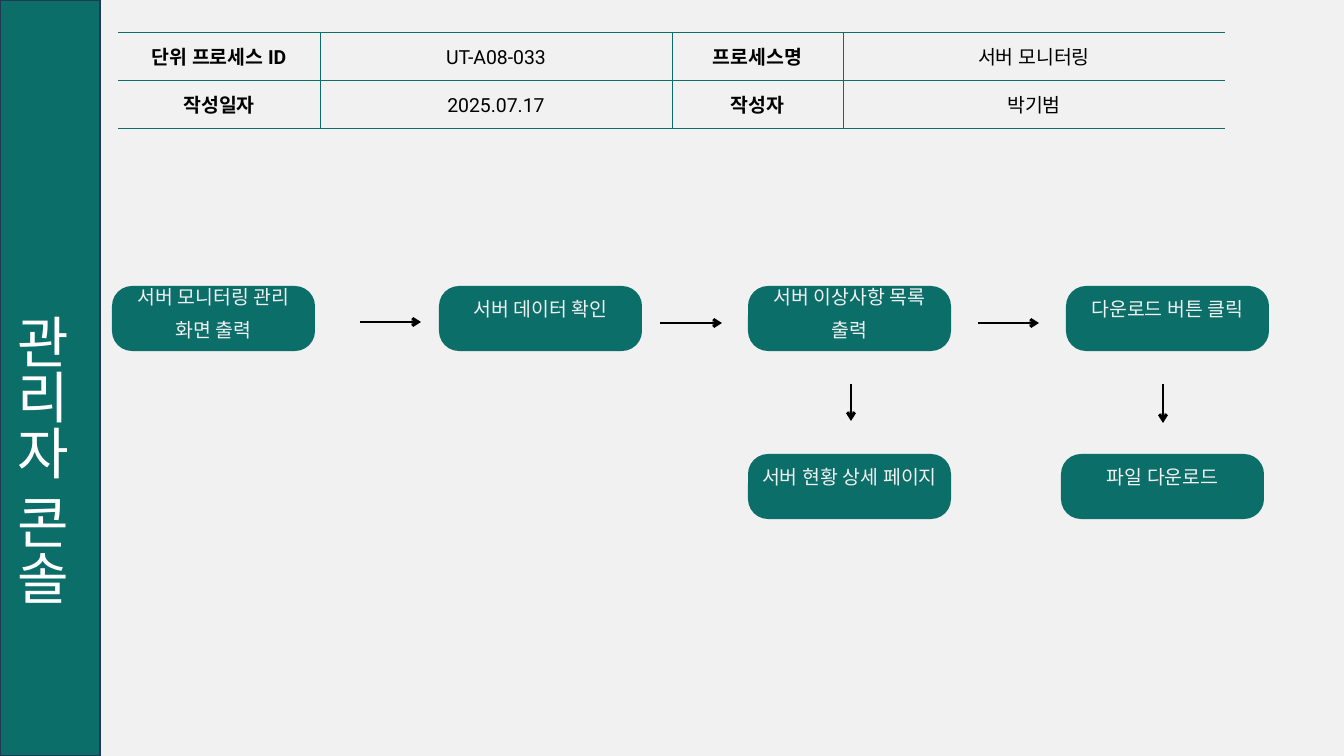
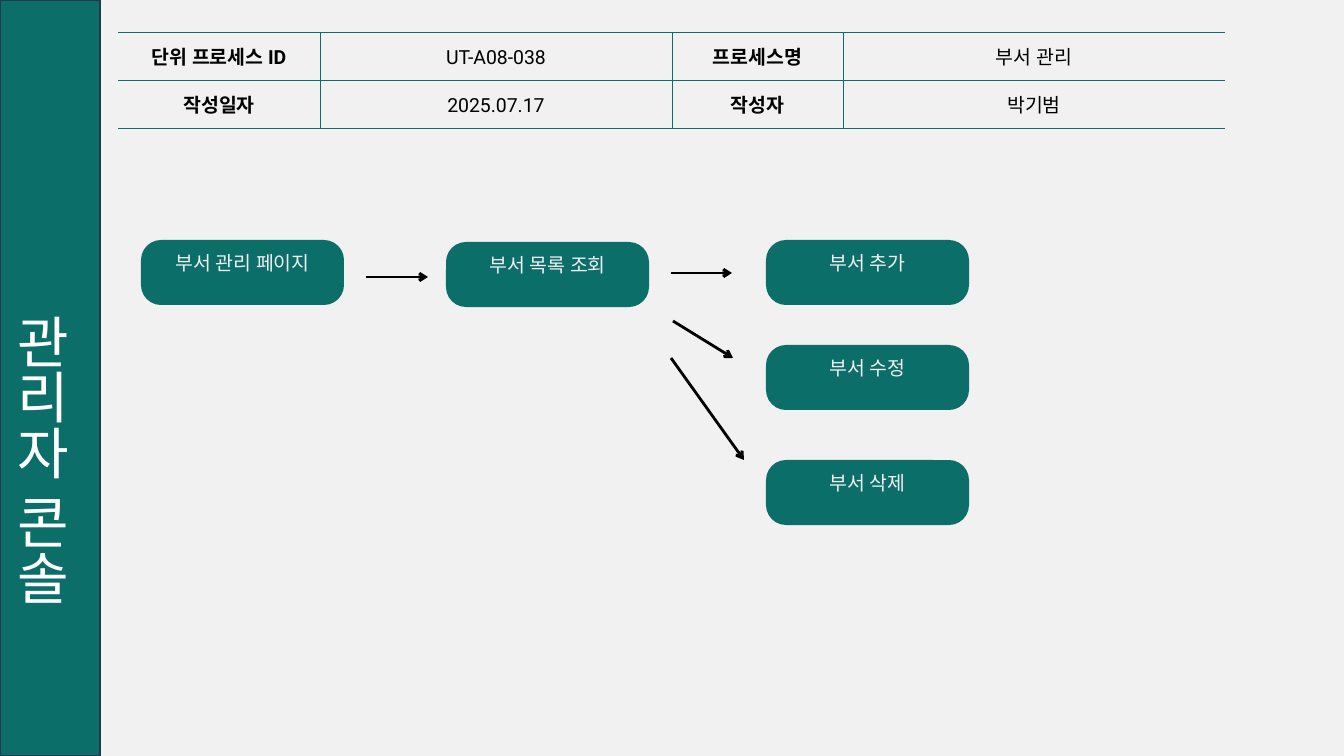
from dataclasses import dataclass

from lxml import etree
from pptx import Presentation
from pptx.dml.color import RGBColor
from pptx.enum.shapes import MSO_CONNECTOR, MSO_SHAPE
from pptx.enum.text import MSO_ANCHOR, MSO_AUTO_SIZE, PP_ALIGN
from pptx.oxml.ns import qn
from pptx.util import Emu, Pt

MIDDLE, BOTTOM = MSO_ANCHOR.MIDDLE, MSO_ANCHOR.BOTTOM
CENTER, JUSTIFY = PP_ALIGN.CENTER, PP_ALIGN.JUSTIFY
ROUNDED, STRAIGHT = MSO_SHAPE.ROUNDED_RECTANGLE, MSO_CONNECTOR.STRAIGHT
TITLE_ONLY = 5


@dataclass(frozen=True)
class Theme:
    teal: str = "0B6E69"
    navy: str = "233953"
    paper: str = "F1F1F1"
    black: str = "000000"
    white: str = "FFFFFF"
    body_font: str = "Roboto"
    title_font: str = "Calibri"
    body_size: float = 20.8
    title_size: float = 60
    table_leading: float = 29.2
    step_leading: float = 35.2
    rule: float = 0.75
    band_line: float = 2
    arrow: float = 3


THEME = Theme()

# Lengths in px
SLIDE_W, SLIDE_H = 1344, 756
BAND_W, TITLE_INDENT = 100, 73
TABLE_LEFT, TABLE_TOP = 118, 32
TABLE_COLUMNS, ROW_H = (202, 352, 171, 382), 48
STEP_W, STEP_H, STEP_RADIUS = 203, 65, 20
STEP_PAD, STEP_LIFT = 4, 29

TITLE = "관리자 콘솔"
WRITTEN_ON, AUTHOR = "2025.07.17", "박기범"

# Steps: left, top, lines, anchor. Arrows: from x, from y, to x, to y.
PROCESSES = [
    {
        "id": "UT-A08-033",
        "name": "서버 모니터링",
        "steps": [
            (112, 286, ["서버 모니터링 관리", "화면 출력"], BOTTOM),
            (439, 286, ["서버 데이터 확인"], MIDDLE),
            (748, 286, ["서버 이상사항 목록 출력"], BOTTOM),
            (748, 454, ["서버 현황 상세 페이지"], MIDDLE),
            (1066, 286, ["다운로드 버튼 클릭"], MIDDLE),
            (1061, 454, ["파일 다운로드"], MIDDLE),
        ],
        "arrows": [
            (360, 322, 421, 322),
            (660, 323, 722, 323),
            (851, 384, 851, 421),
            (978, 323, 1039, 323),
            (1163, 384, 1163, 423),
        ],
    },
    {
        "id": "UT-A08-038",
        "name": "부서 관리",
        "steps": [
            (141, 240, ["부서 관리 페이지"], MIDDLE),
            (446, 242, ["부서 목록 조회"], MIDDLE),
            (766, 240, ["부서 추가"], MIDDLE),
            (766, 345, ["부서 수정"], MIDDLE),
            (766, 460, ["부서 삭제"], MIDDLE),
        ],
        "arrows": [
            (366, 277, 428, 277),
            (671, 273, 732, 273),
            (673, 321, 733, 358),
            (671, 358, 744, 460),
        ],
    },
]


def px(length):
    return Emu(round(length * 914400 / 67.2))


def rgb(color):
    return RGBColor.from_string(color)


def fill_with(fill, color):
    fill.solid()
    fill.fore_color.rgb = rgb(color)


def set_insets(target, left, top, right, bottom):
    target.margin_left, target.margin_top = px(left), px(top)
    target.margin_right, target.margin_bottom = px(right), px(bottom)


def write(paragraph, text, font_name, size, color, align, leading=None, bold=False):
    paragraph.alignment = align
    if leading:
        paragraph.line_spacing = Pt(leading)
    run = paragraph.add_run()
    run.text = text
    font = run.font
    font.name, font.size, font.bold = font_name, Pt(size), bold
    font.color.rgb = rgb(color)
    east_asian = etree.SubElement(run._r.get_or_add_rPr(), qn("a:ea"))
    east_asian.set("typeface", font_name)


def add_title_band(slide):
    band = slide.shapes.title
    band.left, band.top, band.width, band.height = map(px, (0, 0, BAND_W, SLIDE_H))
    fill_with(band.fill, THEME.teal)
    band.line.color.rgb = rgb(THEME.navy)
    band.line.width = Pt(THEME.band_line)
    frame = band.text_frame
    frame.auto_size = MSO_AUTO_SIZE.NONE
    frame.word_wrap = True
    frame.vertical_anchor = BOTTOM
    frame._txBody.bodyPr.set("vert", "eaVert")
    paragraph = frame.paragraphs[0]
    properties = paragraph._p.get_or_add_pPr()
    properties.set("marL", str(px(TITLE_INDENT)))
    properties.set("indent", "0")
    write(paragraph, TITLE, THEME.title_font, THEME.title_size, THEME.white, JUSTIFY)


def set_borders(cell, open_sides):
    """Rule every side of a cell except the open ones."""
    properties = cell._tc.get_or_add_tcPr()
    for position, side in enumerate("LRTB"):
        border = etree.Element(qn(f"a:ln{side}"))
        if side in open_sides:
            border.set("w", "0")
            etree.SubElement(border, qn("a:noFill"))
        else:
            border.set("w", str(Pt(THEME.rule)))
            fill = etree.SubElement(border, qn("a:solidFill"))
            etree.SubElement(fill, qn("a:srgbClr")).set("val", THEME.teal)
        properties.insert(position, border)


def add_header_table(slide, process):
    rows = [
        ("단위 프로세스 ID", process["id"], "프로세스명", process["name"]),
        ("작성일자", WRITTEN_ON, "작성자", AUTHOR),
    ]
    table = slide.shapes.add_table(
        len(rows), len(TABLE_COLUMNS), px(TABLE_LEFT), px(TABLE_TOP),
        px(sum(TABLE_COLUMNS)), px(ROW_H * len(rows)),
    ).table
    table.first_row = table.horz_banding = False
    for column, width in zip(table.columns, TABLE_COLUMNS):
        column.width = px(width)
    open_sides = {0: "L", len(TABLE_COLUMNS) - 1: "R"}
    for r, values in enumerate(rows):
        table.rows[r].height = px(ROW_H)
        for c, value in enumerate(values):
            cell = table.cell(r, c)
            cell.fill.background()
            cell.vertical_anchor = MIDDLE
            set_insets(cell, 1, 1, 1, 1)
            set_borders(cell, open_sides.get(c, ""))
            write(cell.text_frame.paragraphs[0], value, THEME.body_font,
                  THEME.body_size, THEME.black, CENTER, THEME.table_leading,
                  bold=c % 2 == 0)


def add_step(slide, left, top, lines, anchor):
    step = slide.shapes.add_shape(ROUNDED, px(left), px(top), px(STEP_W), px(STEP_H))
    step.adjustments[0] = STEP_RADIUS / STEP_H
    step.shadow.inherit = False
    fill_with(step.fill, THEME.teal)
    step.line.fill.background()
    frame = step.text_frame
    frame.word_wrap = True
    frame.vertical_anchor = anchor
    set_insets(frame, 2, 0, 2, STEP_PAD if anchor == BOTTOM else STEP_LIFT)
    for i, line in enumerate(lines):
        paragraph = frame.add_paragraph() if i else frame.paragraphs[0]
        write(paragraph, line, THEME.body_font, THEME.body_size, THEME.paper,
              CENTER, THEME.step_leading)


def add_arrow(slide, *ends):
    arrow = slide.shapes.add_connector(STRAIGHT, *map(px, ends))
    arrow.line.color.rgb = rgb(THEME.black)
    arrow.line.width = Pt(THEME.arrow)
    etree.SubElement(arrow.line._get_or_add_ln(), qn("a:tailEnd")).set("type", "arrow")
    etree.SubElement(arrow._element.spPr, qn("a:effectLst"))


def main():
    deck = Presentation()
    deck.slide_width, deck.slide_height = px(SLIDE_W), px(SLIDE_H)
    fill_with(deck.slide_master.background.fill, THEME.paper)
    for process in PROCESSES:
        slide = deck.slides.add_slide(deck.slide_layouts[TITLE_ONLY])
        add_title_band(slide)
        add_header_table(slide, process)
        for step in process["steps"]:
            add_step(slide, *step)
        for arrow in process["arrows"]:
            add_arrow(slide, *arrow)
    deck.save("out.pptx")


if __name__ == "__main__":
    main()
